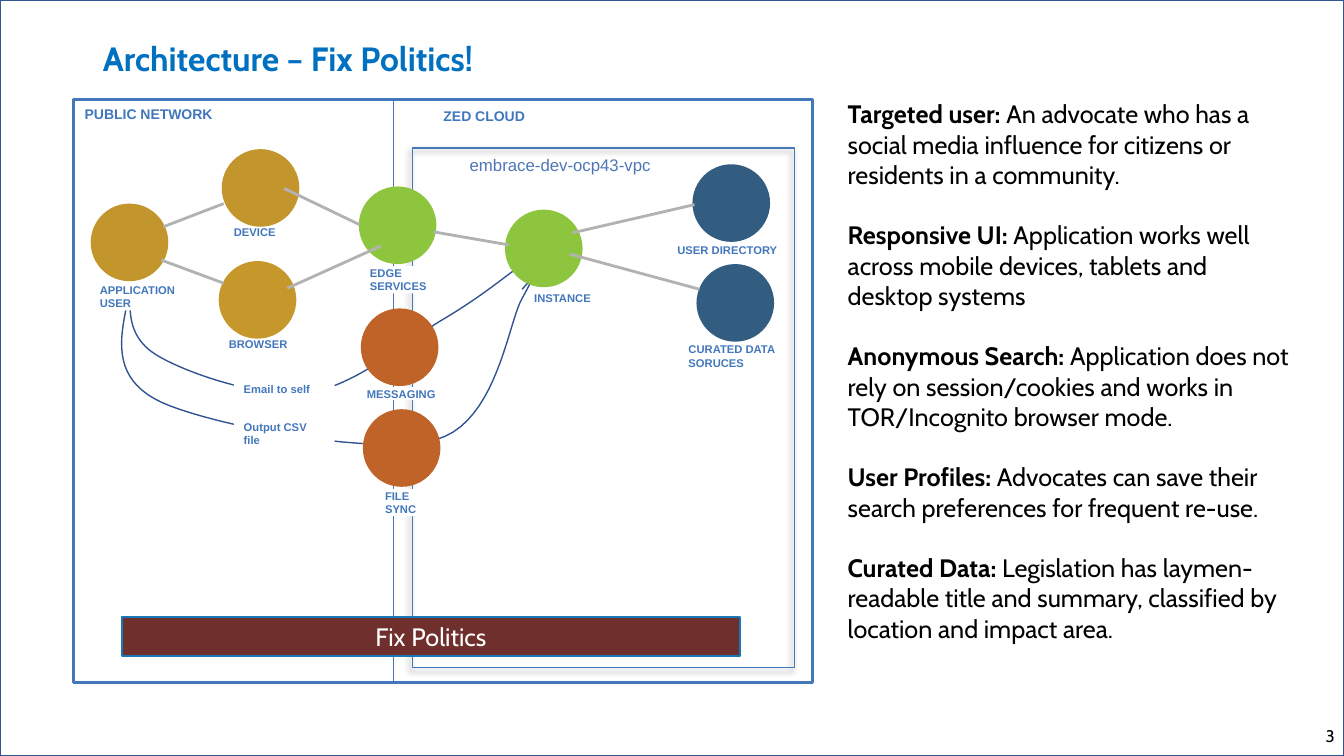
from dataclasses import dataclass

from lxml import etree
from pptx import Presentation
from pptx.dml.color import RGBColor
from pptx.enum.shapes import MSO_CONNECTOR as Link, MSO_SHAPE as Kind
from pptx.enum.text import MSO_ANCHOR as Anchor, MSO_AUTO_SIZE as Fit, PP_ALIGN as Align
from pptx.oxml.ns import qn
from pptx.util import Emu, Pt

SCALE = 9144  # EMU in one px, 100 px to the inch
DISC = 77
STEPS = 20
BLUE, NAVY, GREY, WHITE, BLACK = "4277BB", "325491", "B2B2B2", "FFFFFF", "000000"
GOLD, GREEN, STEEL, RUST, WINE = "C2952D", "8DC53F", "325C80", "C06328", "6F2F2C"

Box = tuple[int, int, int, int]
Point = tuple[int, int]


@dataclass
class Node:
    disc: Point
    fill: str
    name: str
    label: Box
    back: str = ""


@dataclass
class Label:
    text: str
    box: Box
    size: int = 8
    bold: bool = True
    hue: str = BLUE
    font: str = "Arial"
    back: str = ""
    pad: Point = (0, 0)
    wrap: bool = False
    align: Align = Align.LEFT
    anchor: Anchor = Anchor.TOP


NODES = [
    Node((220, 148), GOLD, "DEVICE", (232, 224, 51, 22)),
    Node((90, 202), GOLD, "APPLICATION\nUSER", (99, 281, 77, 27), WHITE),
    Node((217, 259), "C6982C", "BROWSER", (227, 335, 60, 13)),
    Node((501, 208), GREEN, "INSTANCE", (530, 289, 58, 13), WHITE),
    Node((356, 185), GREEN, "EDGE\nSERVICES", (367, 264, 58, 27), WHITE),
    Node((691, 262), STEEL, "CURATED DATA\nSORUCES", (683, 340, 92, 27)),
    Node((687, 163), STEEL, "USER DIRECTORY", (672, 241, 109, 22)),
    Node((358, 306), RUST, "MESSAGING", (364, 384, 70, 13), WHITE),
    Node((360, 406), RUST, "FILE\nSYNC", (382, 485, 34, 27), WHITE),
]
LINKS = [
    ((162, 225), (222, 202)),
    ((285, 286), (378, 244)),
    ((160, 258), (222, 281)),
    ((282, 187), (357, 223)),
    ((430, 230), (505, 243)),
    ((565, 252), (694, 287)),
    ((568, 231), (689, 203)),
]
# Each flow is a start point, then two handles and an end for every bend
FLOWS = [
    [(518, 287), (525, 279), (532, 271), (518, 296), (504, 320), (493, 419), (433, 436),
     (373, 453), (210, 422), (160, 399), (109, 375), (119, 334), (128, 293)],
    [(509, 269), (489, 284), (470, 299), (436, 319), (402, 340), (351, 384), (304, 390),
     (258, 395), (184, 370), (155, 352), (126, 334), (128, 307), (130, 281)],
]
LABELS = [
    Label("PUBLIC NETWORK", (84, 105, 132, 17), 10),
    Label("ZED CLOUD", (440, 107, 100, 17), 10),
    Label("embrace-dev-ocp43-vpc", (460, 148, 277, 31), 12, False, "4E77B6",
          pad=(6, 6), wrap=True),
    Label("Email to self", (232, 374, 100, 24), back=WHITE, pad=(10, 5), wrap=True),
    Label("Output CSV file", (232, 412, 100, 37), back=WHITE, pad=(10, 5), wrap=True),
    Label("3", (1285, 710, 49, 40), 12, False, BLACK, "Cabin", pad=(10, 5),
          wrap=True, align=Align.RIGHT, anchor=Anchor.MIDDLE),
]
NOTES = [
    ("Targeted user: ", "An advocate who has a social media influence for citizens "
     "or residents in a community."),
    ("Responsive UI: ", "Application works well across mobile devices, tablets and "
     "desktop systems"),
    ("Anonymous Search: ", "Application does not rely on session/cookies and works in "
     "TOR/Incognito browser mode."),
    ("User Profiles: ", "Advocates can save their search preferences for frequent re-use."),
    ("Curated Data: ", "Legislation has laymen-readable title and summary, classified by "
     "location and impact area."),
]


def px(*nums: float) -> list[Emu]:
    return [Emu(round(n * SCALE)) for n in nums]


def rgb(hue: str) -> RGBColor:
    return RGBColor.from_string(hue)


def paint(item, fill: str = "", line: str = "", width: float = 1) -> None:
    """Set fill and outline; an empty colour means none."""
    item.shadow.inherit = False
    if fill:
        item.fill.solid()
        item.fill.fore_color.rgb = rgb(fill)
    else:
        item.fill.background()
    if line:
        item.line.color.rgb = rgb(line)
        item.line.width = Pt(width)
    else:
        item.line.fill.background()


def add_run(para, text: str, size: int, bold: bool, hue: str, font: str) -> None:
    run = para.add_run()
    run.text = text
    run.font.size, run.font.bold, run.font.name = Pt(size), bold, font
    run.font.color.rgb = rgb(hue)


def add_form(slide, kind: Kind, box: Box, fill: str = "", line: str = "", width: float = 1):
    form = slide.shapes.add_shape(kind, *px(*box))
    paint(form, fill, line, width)
    return form


def add_label(slide, label: Label) -> None:
    form = slide.shapes.add_textbox(*px(*label.box))
    if label.back:
        paint(form, label.back)
    frame = form.text_frame
    frame.word_wrap, frame.vertical_anchor = label.wrap, label.anchor
    frame.auto_size = Fit.SHAPE_TO_FIT_TEXT
    frame.margin_left, frame.margin_top = px(*label.pad)
    frame.margin_right, frame.margin_bottom = px(*label.pad)
    for i, text in enumerate(label.text.split("\n")):
        para = frame.add_paragraph() if i else frame.paragraphs[0]
        para.alignment = label.align
        add_run(para, text, label.size, label.bold, label.hue, label.font)


def add_line(slide, start: Point, end: Point, hue: str, width: float) -> None:
    line = slide.shapes.add_connector(Link.STRAIGHT, *px(*start, *end))
    line.line.color.rgb = rgb(hue)
    line.line.width = Pt(width)
    etree.SubElement(line._element.spPr, qn("a:effectLst"))


def add_flow(slide, knots: list[Point]) -> None:
    """Trace a chain of cubic bends as one open outline."""
    dots = []
    for k in range(0, len(knots) - 1, 3):
        for n in range(1, STEPS + 1):
            t = n / STEPS
            parts = ((1 - t) ** 3, 3 * t * (1 - t) ** 2, 3 * t * t * (1 - t), t ** 3)
            bend = knots[k:k + 4]
            dots.append(px(*(sum(w * p[axis] for w, p in zip(parts, bend)) for axis in (0, 1))))
    pen = slide.shapes.build_freeform(*px(*knots[0]))
    pen.add_line_segments(dots, close=False)
    paint(pen.convert_to_shape(), line=NAVY)


def add_shade(form) -> None:
    effects = form._element.spPr.find(qn("a:effectLst"))
    shade = etree.SubElement(effects, qn("a:outerShdw"), blurRad=str(Pt(4)), dist=str(Pt(3)),
                             dir=str(135 * 60000), algn="tr", rotWithShape="0")
    hue = etree.SubElement(shade, qn("a:srgbClr"), val=BLACK)
    etree.SubElement(hue, qn("a:alpha"), val="40000")


def place(holder, box: Box, anchor: Anchor):
    holder.left, holder.top, holder.width, holder.height = px(*box)
    frame = holder.text_frame
    frame.word_wrap, frame.auto_size, frame.vertical_anchor = True, Fit.NONE, anchor
    return frame


def fill_text(slide) -> None:
    head = place(slide.shapes.title, (92, 40, 1150, 40), Anchor.MIDDLE).paragraphs[0]
    head.alignment, head.line_spacing = Align.LEFT, 0.9
    add_run(head, "Architecture – Fix Politics!", 24, True, "0070C0", "Cabin")
    body = place(slide.placeholders[1], (831, 93, 464, 586), Anchor.TOP)
    for i, (term, text) in enumerate(NOTES):
        para = body.add_paragraph() if i else body.paragraphs[0]
        props = para._p.get_or_add_pPr()
        props.set("marL", "0")
        props.set("indent", "0")
        etree.SubElement(props, qn("a:buNone"))
        para.space_before = Pt(21.6 if i else 0)
        add_run(para, term, 18, True, BLACK, "Cabin")
        add_run(para, text, 18, False, BLACK, "Cabin")


def main() -> None:
    deck = Presentation()
    deck.slide_width, deck.slide_height = px(1333.33, 750)
    slide = deck.slides.add_slide(deck.slide_layouts[1])
    slide.background.fill.solid()
    slide.background.fill.fore_color.rgb = rgb(WHITE)
    fill_text(slide)
    add_form(slide, Kind.RECTANGLE, (0, 0, 1333, 750), line=NAVY)
    for flow in FLOWS:
        add_flow(slide, flow)
    add_form(slide, Kind.RECTANGLE, (73, 99, 733, 578), line=BLUE, width=2)
    add_line(slide, (390, 677), (390, 99), BLUE, 0.25)
    add_shade(add_form(slide, Kind.RECTANGLE, (409, 147, 379, 515), line="4378BB"))
    bar = add_form(slide, Kind.RECTANGLE, (121, 612, 613, 39), WINE, "1A77B5", 1.5)
    bar.text_frame.vertical_anchor = Anchor.MIDDLE
    para = bar.text_frame.paragraphs[0]
    para.alignment = Align.CENTER
    add_run(para, "Fix Politics", 18, False, WHITE, "Cabin")
    for node in NODES:
        add_form(slide, Kind.OVAL, (*node.disc, DISC, DISC), node.fill)
        add_label(slide, Label(node.name, node.label, back=node.back))
    for start, end in LINKS:
        add_line(slide, start, end, GREY, 2)
    for label in LABELS:
        add_label(slide, label)
    deck.save("out.pptx")


if __name__ == "__main__":
    main()
